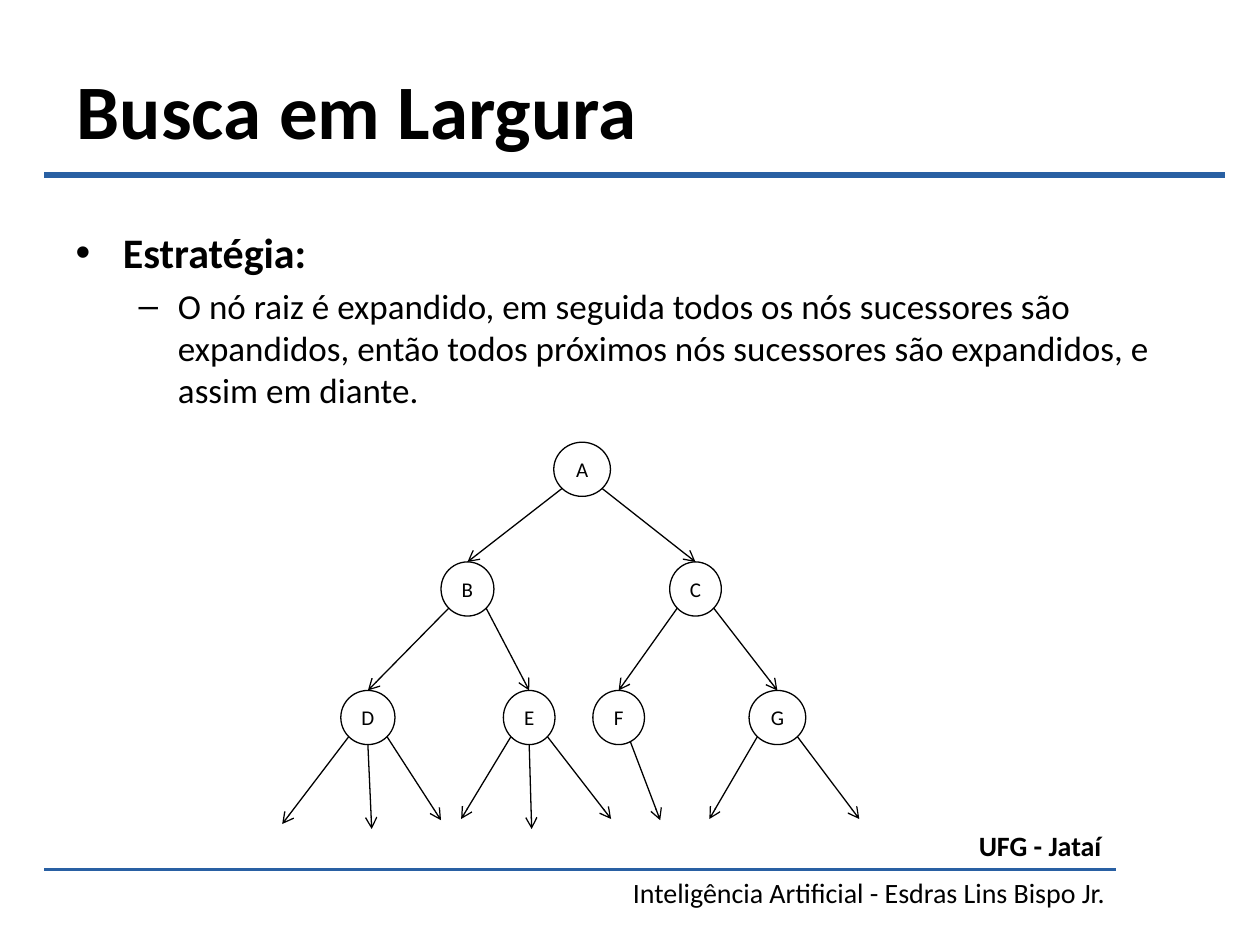
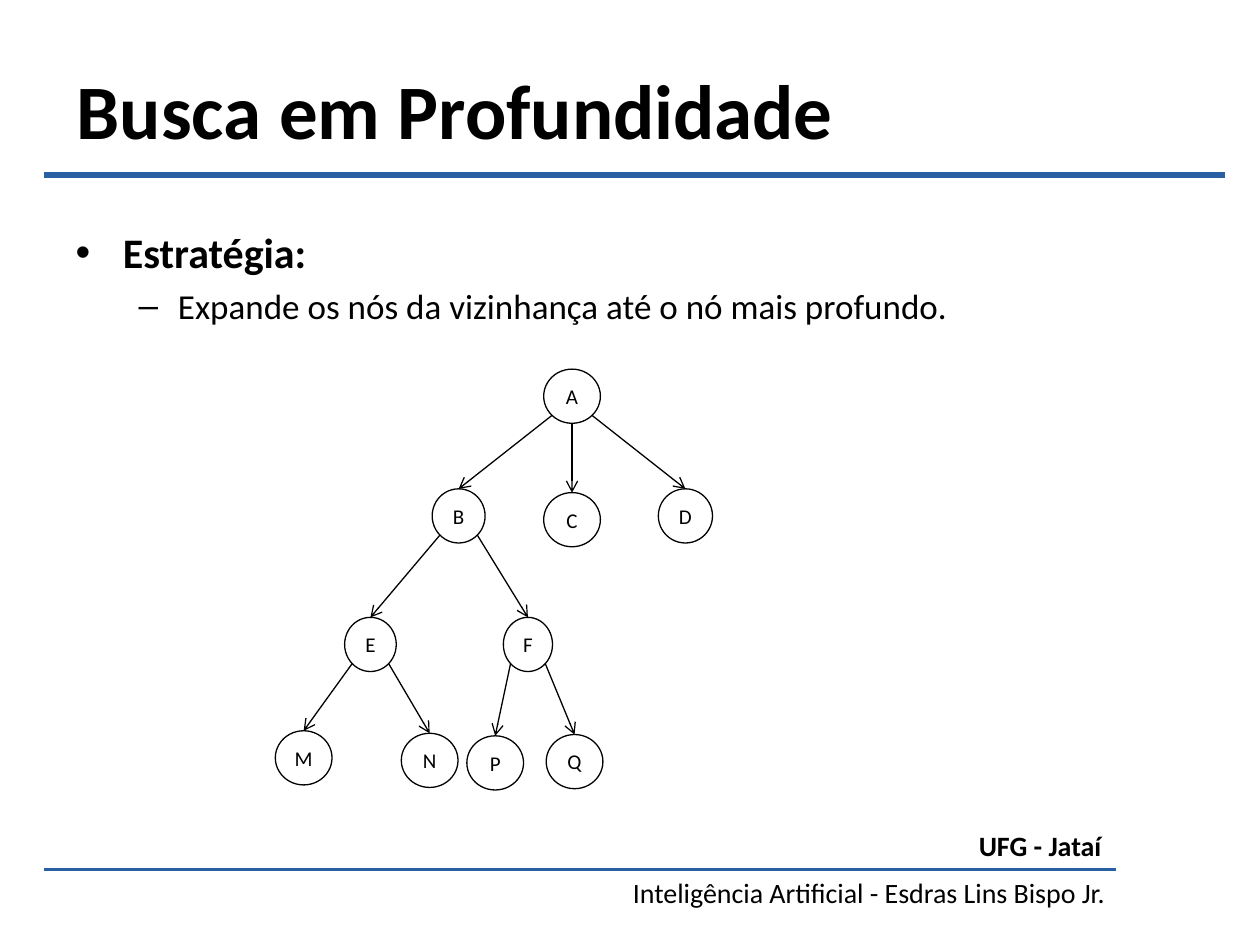
from dataclasses import dataclass
from math import cos, radians, sin

from lxml import etree
from pptx import Presentation
from pptx.dml import color
from pptx.enum import shapes, text
from pptx.oxml import ns
from pptx.util import Emu, Inches, Pt

COLORS = {"ink": "000000", "rule": "2960A3"}
FONT = "Calibri"
COLUMNS, ROWS = 100, 75
SLIDE_WIDTH, SLIDE_HEIGHT = Inches(10), Inches(7.5)
NODE_HEIGHT = 4.3

FORMATS = {
    "title": {"size": Pt(44), "bold": True},
    "topic": {"size": Pt(24), "bold": True},
    "detail": {"size": Pt(20), "bold": False},
    "node": {"size": Pt(12), "bold": False},
    "campus": {"size": Pt(16), "bold": True},
    "course": {"size": Pt(16), "bold": False},
}


@dataclass(frozen=True)
class Node:
    label: str
    center: float
    top: float
    width: float
    parent: str = ""
    angle: float = 0


@dataclass(frozen=True)
class Branch:
    parent: str
    angle: float
    tip: tuple[float, float]


@dataclass(frozen=True)
class Rule:
    right: float
    row: float
    weight: float


@dataclass(frozen=True)
class FooterLine:
    wording: str
    style: str
    box: tuple[float, float, float, float]


@dataclass(frozen=True)
class Search:
    title: str
    strategy: str
    nodes: tuple[Node, ...]
    open_branches: tuple[Branch, ...] = ()


RULES = (Rule(97.2, 13.9, 3), Rule(88.6, 69, 1.5))
FOOTER = (
    FooterLine("UFG - Jataí", "campus", (76.5, 65.3, 11.9, 3.7)),
    FooterLine("Inteligência Artificial - Esdras Lins Bispo Jr.", "course",
               (48.8, 69, 39.9, 3.7)),
)

SEARCHES = (
    Search(
        "Busca em Largura",
        "O nó raiz é expandido, em seguida todos os nós sucessores são "
        "expandidos, então todos próximos nós sucessores são expandidos, "
        "e assim em diante.",
        (
            Node("A", 46.2, 35.1, 4.5),
            Node("B", 37.1, 44.6, 4.2, "A", -45),
            Node("C", 55.2, 44.6, 4.1, "A", 45),
            Node("D", 29.2, 54.8, 4.3, "B", -45),
            Node("E", 42, 54.8, 4.1, "B", 45),
            Node("F", 49.1, 54.8, 4.1, "C", -45),
            Node("G", 61.7, 54.8, 4.5, "C", 45),
        ),
        (
            Branch("D", -45, (22.4, 65.4)),
            Branch("D", 0, (29.5, 65.8)),
            Branch("D", 45, (35, 65.1)),
            Branch("E", -45, (36.6, 65)),
            Branch("E", 0, (42.2, 65.8)),
            Branch("E", 45, (48.5, 65)),
            Branch("F", 27, (52.4, 65.1)),
            Branch("G", -45, (56.3, 65)),
            Branch("G", 45, (68.2, 65)),
        ),
    ),
    Search(
        "Busca em Profundidade",
        "Expande os nós da vizinhança até o nó mais profundo.",
        (
            Node("A", 45.4, 29.3, 4.5),
            Node("B", 36.4, 38.8, 4.2, "A", -45),
            Node("C", 45.4, 39.1, 4.5, "A", 0),
            Node("D", 54.4, 38.8, 4.3, "A", 45),
            Node("E", 29.4, 49, 4.1, "B", -45),
            Node("F", 41.9, 49, 3.9, "B", 45),
            Node("M", 24.1, 58, 4.5, "E", -45),
            Node("N", 34.1, 58.2, 4.5, "E", 45),
            Node("P", 39.3, 58.4, 4.5, "F", -45),
            Node("Q", 45.6, 58.3, 4.5, "F", 45),
        ),
    ),
)


def col(count: float) -> Emu:
    return Emu(round(SLIDE_WIDTH * count / COLUMNS))


def row(count: float) -> Emu:
    return Emu(round(SLIDE_HEIGHT * count / ROWS))


def frame(left: float, top: float, width: float, height: float) -> tuple:
    return col(left), row(top), col(width), row(height)


def place(shape, *box: float) -> None:
    for side, length in zip(("left", "top", "width", "height"), frame(*box)):
        setattr(shape, side, length)


def write(paragraph, wording: str, style: str, align=None) -> None:
    run = paragraph.add_run()
    run.text = wording
    for key, value in {"name": FONT, **FORMATS[style]}.items():
        setattr(run.font, key, value)
    run.font.color.rgb = color.RGBColor.from_string(COLORS["ink"])
    if align is not None:
        paragraph.alignment = align


def draw_line(slide, start: tuple, end: tuple, shade: str, weight: float,
              arrow: bool = False) -> None:
    line = slide.shapes.add_connector(
        shapes.MSO_CONNECTOR.STRAIGHT,
        col(start[0]), row(start[1]), col(end[0]), row(end[1]))
    line.line.color.rgb = color.RGBColor.from_string(COLORS[shade])
    line.line.width = Pt(weight)
    properties = line.element.spPr
    if arrow:
        outline = properties.find(ns.qn("a:ln"))
        etree.SubElement(outline, ns.qn("a:tailEnd"), type="arrow")
    etree.SubElement(properties, ns.qn("a:effectLst"))


def draw_node(slide, node: Node) -> None:
    circle = slide.shapes.add_shape(
        shapes.MSO_SHAPE.OVAL,
        *frame(node.center - node.width / 2, node.top, node.width, NODE_HEIGHT))
    circle.shadow.inherit = False
    circle.fill.background()
    circle.line.color.rgb = color.RGBColor.from_string(COLORS["ink"])
    circle.line.width = Pt(0.75)
    label = circle.text_frame
    label.word_wrap = False
    label.vertical_anchor = text.MSO_ANCHOR.MIDDLE
    write(label.paragraphs[0], node.label, "node", text.PP_ALIGN.CENTER)


def exit_point(node: Node, angle: float) -> tuple[float, float]:
    turn = radians(angle)
    return (node.center + node.width / 2 * sin(turn),
            node.top + NODE_HEIGHT / 2 * (1 + cos(turn)))


def draw_tree(slide, search: Search) -> None:
    by_label = {node.label: node for node in search.nodes}
    for node in search.nodes:
        draw_node(slide, node)
    inner = tuple(Branch(node.parent, node.angle, (node.center, node.top))
                  for node in search.nodes if node.parent)
    for branch in inner + search.open_branches:
        start = exit_point(by_label[branch.parent], branch.angle)
        draw_line(slide, start, branch.tip, "ink", 0.75, arrow=True)


def draw_heading(slide, wording: str) -> None:
    title = slide.shapes.title
    place(title, 5.1, 4.4, 90, 8.4)
    title.text_frame.vertical_anchor = text.MSO_ANCHOR.MIDDLE
    write(title.text_frame.paragraphs[0], wording, "title", text.PP_ALIGN.LEFT)


def draw_strategy(slide, wording: str) -> None:
    body = slide.placeholders[1]
    place(body, 5, 17.5, 90, 49.5)
    write(body.text_frame.paragraphs[0], "Estratégia:", "topic")
    detail = body.text_frame.add_paragraph()
    detail.level = 1
    write(detail, wording, "detail")


def draw_frame(slide) -> None:
    for rule in RULES:
        draw_line(slide, (3.5, rule.row), (rule.right, rule.row), "rule", rule.weight)
    for line in FOOTER:
        box = slide.shapes.add_textbox(*frame(*line.box))
        box.text_frame.word_wrap = False
        write(box.text_frame.paragraphs[0], line.wording, line.style,
              text.PP_ALIGN.RIGHT)


def main() -> None:
    deck = Presentation()
    deck.slide_width, deck.slide_height = SLIDE_WIDTH, SLIDE_HEIGHT
    for search in SEARCHES:
        slide = deck.slides.add_slide(deck.slide_layouts[1])
        draw_heading(slide, search.title)
        draw_strategy(slide, search.strategy)
        draw_tree(slide, search)
        draw_frame(slide)
    deck.save("out.pptx")


if __name__ == "__main__":
    main()
